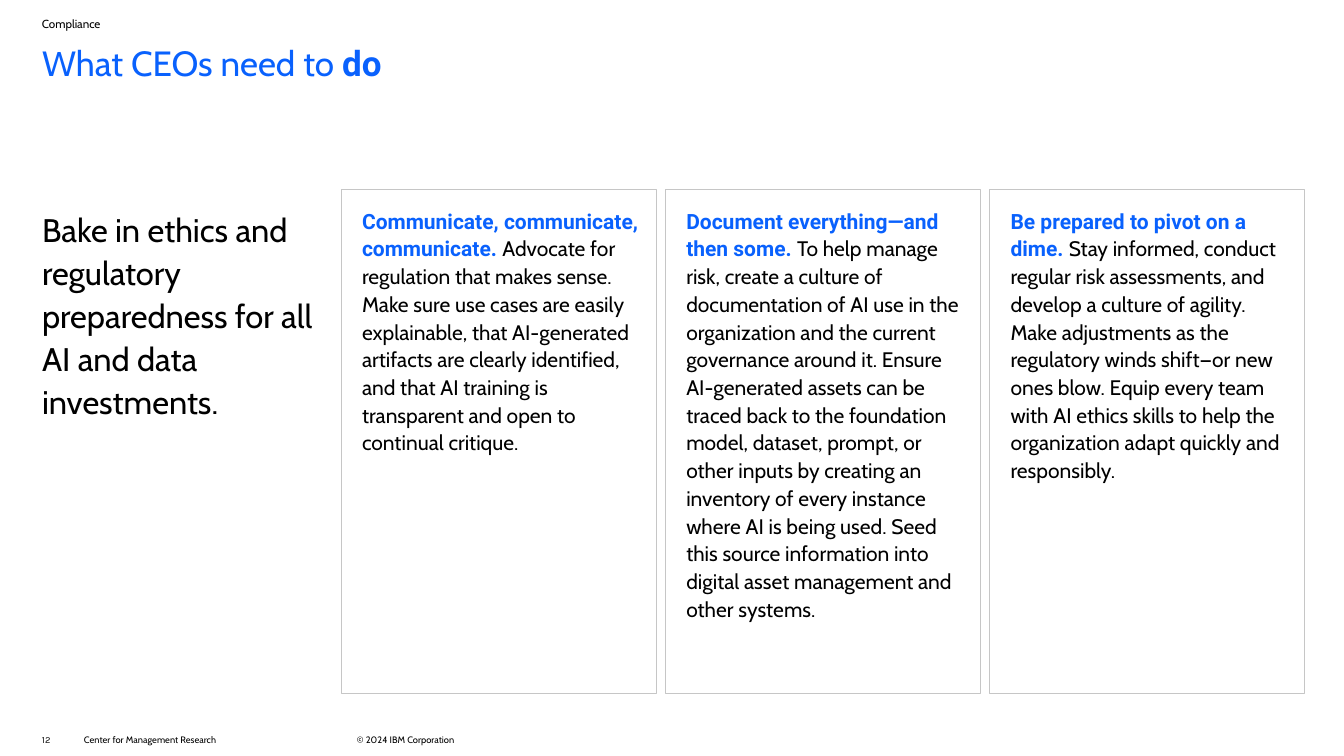
import pptx
import pptx.util
import pptx.dml.color
import pptx.enum.shapes
import pptx.enum.text

Inches, Pt = pptx.util.Inches, pptx.util.Pt
RGBColor = pptx.dml.color.RGBColor
PP_ALIGN, MSO_ANCHOR = pptx.enum.text.PP_ALIGN, pptx.enum.text.MSO_ANCHOR

BLUE = RGBColor(0x09, 0x61, 0xFD)
BLACK = RGBColor(0, 0, 0)
BORDER = RGBColor(0xC6, 0xC6, 0xC6)

MARGIN = 0.5
BODY_TOP, BODY_HEIGHT = 2.25, 6
CARD_LEFT, CARD_WIDTH, CARD_STEP = 4.06, 3.75, 3.86

deck = pptx.Presentation()
deck.slide_width, deck.slide_height = Inches(16), Inches(9)
slide = deck.slides.add_slide(deck.slide_layouts[5])


def write(shape, runs, size, insets=(0, 0, 0, 0), spacing=1.0, anchor=MSO_ANCHOR.TOP):
    """Fill a shape with one left-aligned paragraph of (text, font, colour, bold) runs."""
    frame = shape.text_frame
    frame.word_wrap = True
    frame.auto_size = pptx.enum.text.MSO_AUTO_SIZE.NONE
    frame.vertical_anchor = anchor
    (frame.margin_left, frame.margin_top,
     frame.margin_right, frame.margin_bottom) = map(Inches, insets)
    paragraph = frame.paragraphs[0]
    paragraph.alignment = PP_ALIGN.LEFT
    paragraph.line_spacing = spacing
    for text, font, colour, bold in runs:
        run = paragraph.add_run()
        run.text = text
        run.font.name, run.font.size, run.font.bold = font, Pt(size), bold
        run.font.color.rgb = colour


def add_label(text, left, top, width, height, size, font="Cabin", **layout):
    box = slide.shapes.add_textbox(*map(Inches, (left, top, width, height)))
    write(box, [(text, font, BLACK, False)], size, **layout)


headline = slide.shapes.title
headline.left, headline.top = Inches(MARGIN), Inches(0.5)
headline.width, headline.height = Inches(7.5), Inches(1.41)
write(headline, [("What CEOs need to ", "Cabin", BLUE, False),
                 ("do", "Roboto", BLUE, True)], 30)

add_label("Compliance", MARGIN, 0.2, 3.5, 0.3, 10)
add_label("Bake in ethics and regulatory preparedness for all AI and data investments.",
          MARGIN, BODY_TOP, 3.25, BODY_HEIGHT, 28, insets=(0, 0.2, 0, 0), spacing=1.1)

actions = [
    ("Communicate, communicate, communicate. ",
     "Advocate for regulation that makes sense. Make sure use cases are easily "
     "explainable, that AI-generated artifacts are clearly identified, and that AI "
     "training is transparent and open to continual critique."),
    ("Document everything—and then some. ",
     "To help manage risk, create a culture of documentation of AI use in the "
     "organization and the current governance around it. Ensure AI-generated assets "
     "can be traced back to the foundation model, dataset, prompt, or other inputs by "
     "creating an inventory of every instance where AI is being used. Seed this source "
     "information into digital asset management and other systems."),
    ("Be prepared to pivot on a dime. ",
     "Stay informed, conduct regular risk assessments, and develop a culture of "
     "agility. Make adjustments as the regulatory winds shift—or new ones blow. Equip "
     "every team with AI ethics skills to help the organization adapt quickly and "
     "responsibly."),
]
for column, (action, advice) in enumerate(actions):
    card = slide.shapes.add_shape(
        pptx.enum.shapes.MSO_SHAPE.RECTANGLE,
        Inches(CARD_LEFT + column * CARD_STEP), Inches(BODY_TOP),
        Inches(CARD_WIDTH), Inches(BODY_HEIGHT))
    card.shadow.inherit = False
    card.fill.background()
    card.line.color.rgb = BORDER
    card.line.width = Pt(0.25)
    write(card, [(action, "Roboto", BLUE, True), (advice, "Cabin", BLACK, False)],
          18, insets=(0.25, 0.2, 0.2, 0), spacing=1.1)

add_label("12", MARGIN, 8.73, 0.5, 0.28, 8, font="Karla", spacing=1.1)
for credit, left in [("Center for Management Research", 1),
                     ("© 2024 IBM Corporation", 4.25)]:
    add_label(credit, left, 8.69, 2.5, 0.24, 8, anchor=MSO_ANCHOR.MIDDLE)

deck.save("out.pptx")
